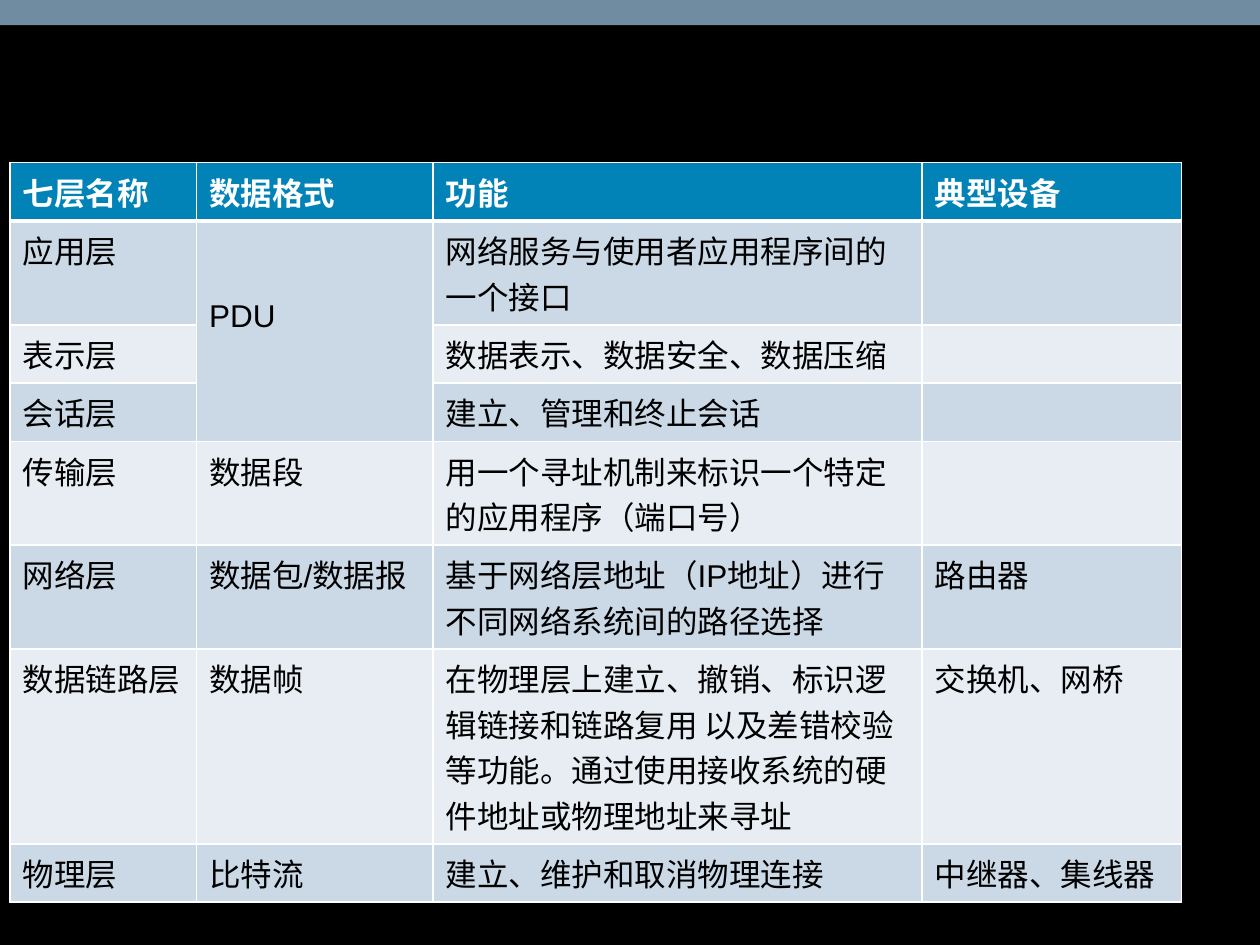
"""Build a slide with a table of the seven network layers."""
from lxml import etree
from pptx import Presentation
from pptx.dml.color import RGBColor
from pptx.enum.shapes import MSO_SHAPE
from pptx.oxml.ns import qn
from pptx.util import Cm, Pt

RECTANGLE = MSO_SHAPE.RECTANGLE

HEADINGS = ("七层名称", "数据格式", "功能", "典型设备")
LAYERS = [
    ("应用层", "PDU", "网络服务与使用者应用程序间的一个接口", ""),
    ("表示层", "", "数据表示、数据安全、数据压缩", ""),
    ("会话层", "", "建立、管理和终止会话", ""),
    ("传输层", "数据段", "用一个寻址机制来标识一个特定的应用程序（端口号）", ""),
    ("网络层", "数据包/数据报", "基于网络层地址（IP地址）进行不同网络系统间的路径选择", "路由器"),
    ("数据链路层", "数据帧",
     "在物理层上建立、撤销、标识逻辑链接和链路复用 以及差错校验等功能。"
     "通过使用接收系统的硬件地址或物理地址来寻址", "交换机、网桥"),
    ("物理层", "比特流", "建立、维护和取消物理连接", "中继器、集线器"),
]
COLUMN_WIDTHS = (3.76, 4.77, 9.86, 5.23)
ROW_HEIGHT, FIRST_LAYER_HEIGHT = 1.03, 1.73
PDU_TOP_MARGIN = 1.58
BACKGROUND, BAND, HEADING_FILL = "000000", "708CA1", "0183B7"
LAYER_FILLS = ("CBD9E6", "E7EDF3")
BORDER = "FFFFFF"
HEADING_FONT = {"name": "Arial", "size": Pt(18), "bold": True}
LAYER_FONT = {**HEADING_FONT, "bold": False}


def paint(color_format, color):
    """Set a colour from a hex string."""
    color_format.rgb = RGBColor.from_string(color)


def fill_solid(fill, color):
    """Make a fill solid in one colour."""
    fill.solid()
    paint(fill.fore_color, color)


def draw_borders(cell, widths):
    """Draw the cell edges, with widths in points by edge letter."""
    properties = cell._tc.get_or_add_tcPr()
    for position, (edge, width) in enumerate(widths.items()):
        line = etree.Element(qn(f"a:ln{edge}"), w=str(Pt(width)))
        solid = etree.SubElement(line, qn("a:solidFill"))
        etree.SubElement(solid, qn("a:srgbClr"), val=BORDER)
        properties.insert(position, line)


def write_cell(cell, words, font_values, color):
    """Put formatted words in a cell."""
    if not words:
        return
    run = cell.text_frame.paragraphs[0].add_run()
    run.text = words
    for attribute, value in font_values.items():
        setattr(run.font, attribute, value)
    paint(run.font.color, color)


def add_layers(slide):
    """Add the table of layers."""
    rows = [HEADINGS, *LAYERS]
    heights = [ROW_HEIGHT, FIRST_LAYER_HEIGHT] + [ROW_HEIGHT] * (len(rows) - 2)
    layers = slide.shapes.add_table(
        len(rows), len(HEADINGS), Cm(0.2), Cm(3.28),
        Cm(sum(COLUMN_WIDTHS)), Cm(sum(heights))).table
    for column, width in zip(layers.columns, COLUMN_WIDTHS):
        column.width = Cm(width)
    for row, height in zip(layers.rows, heights):
        row.height = Cm(height)
    layers.cell(1, 1).merge(layers.cell(3, 1))
    layers.cell(1, 1).margin_top = Cm(PDU_TOP_MARGIN)

    for r, row in enumerate(rows):
        heading = r == 0
        font_values = HEADING_FONT if heading else LAYER_FONT
        font_color = "FFFFFF" if heading else "000000"
        background = HEADING_FILL if heading else LAYER_FILLS[(r - 1) % 2]
        edges = {"L": 1, "R": 1, "T": 3 if r == 1 else 1, "B": 3 if heading else 1}
        for c, words in enumerate(row):
            cell = layers.cell(r, c)
            fill_solid(cell.fill, background)
            draw_borders(cell, edges)
            write_cell(cell, words, font_values, font_color)


def main():
    """Assemble and save the slide."""
    deck = Presentation()
    deck.slide_width, deck.slide_height = Cm(25.4), Cm(19.05)
    slide = deck.slides.add_slide(deck.slide_layouts[6])
    fill_solid(slide.background.fill, BACKGROUND)
    band = slide.shapes.add_shape(RECTANGLE, 0, 0, deck.slide_width, Cm(0.51))
    band.shadow.inherit = False
    fill_solid(band.fill, BAND)
    band.line.fill.background()
    add_layers(slide)
    deck.save("out.pptx")


if __name__ == "__main__":
    main()
